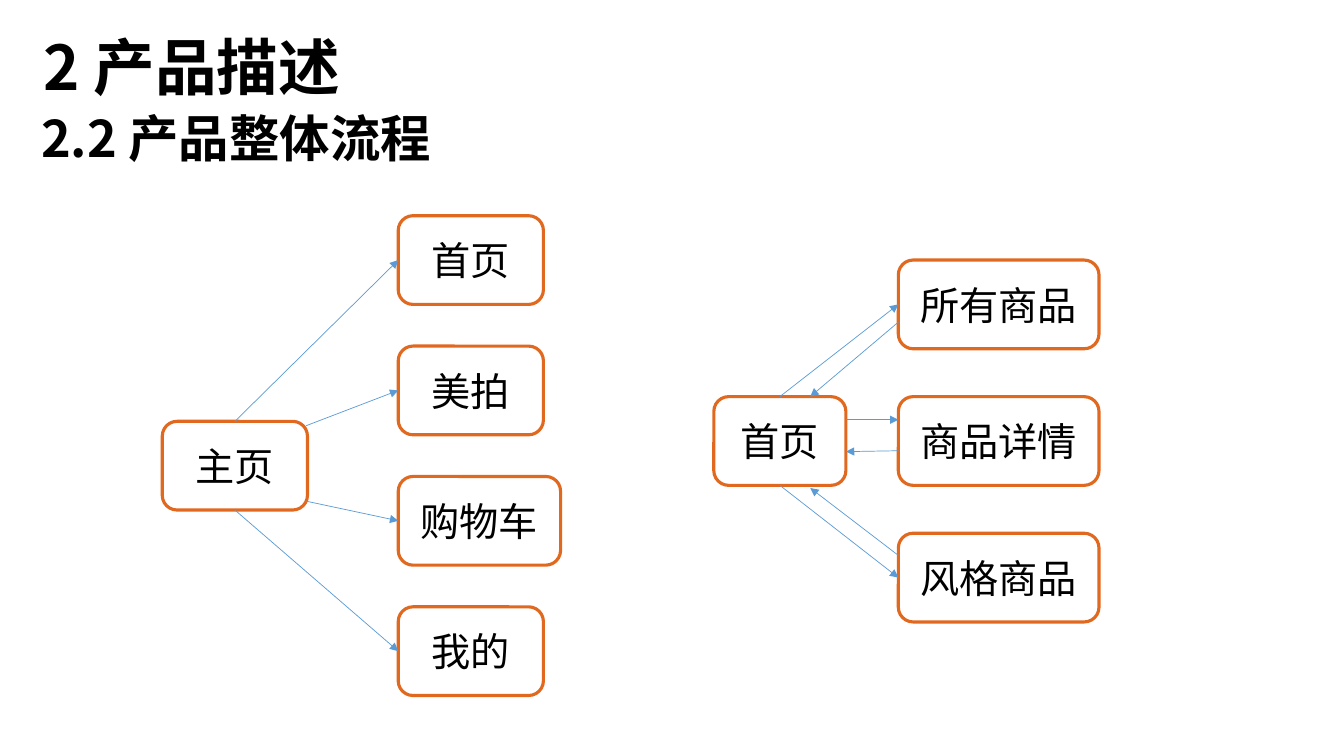
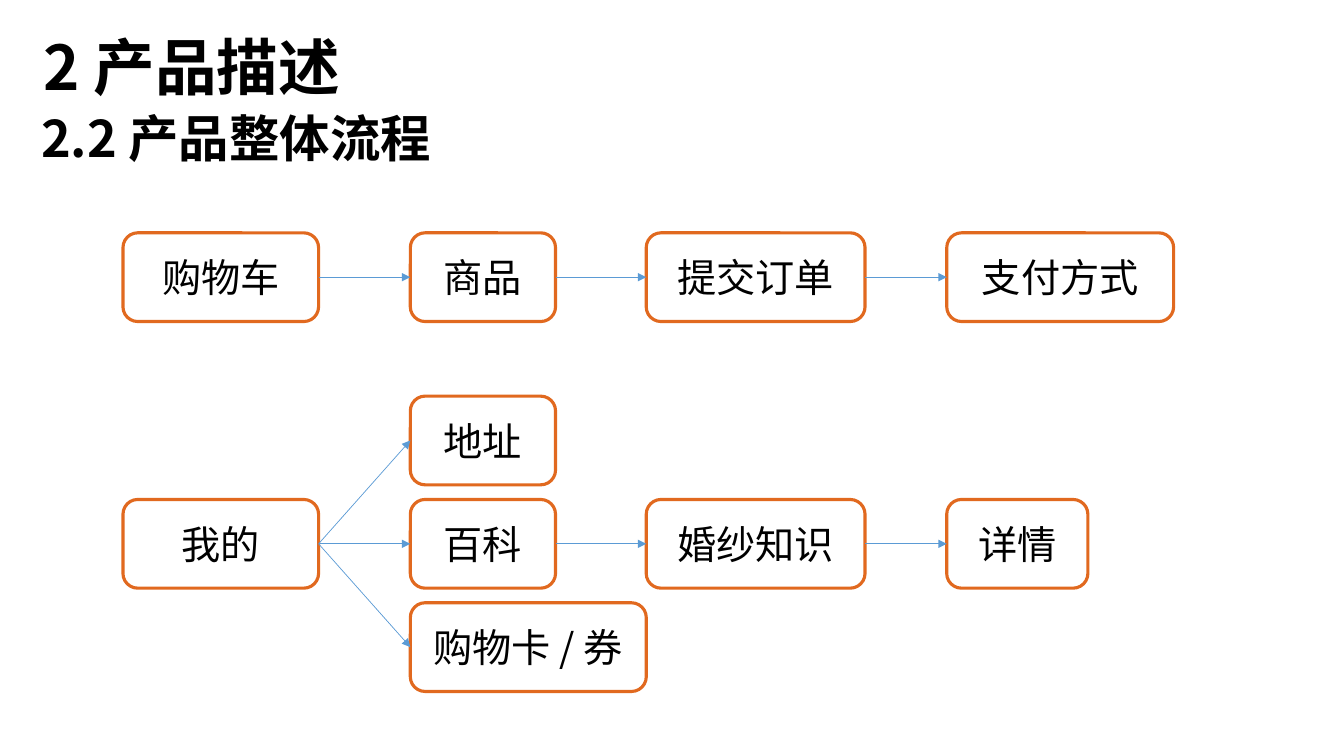
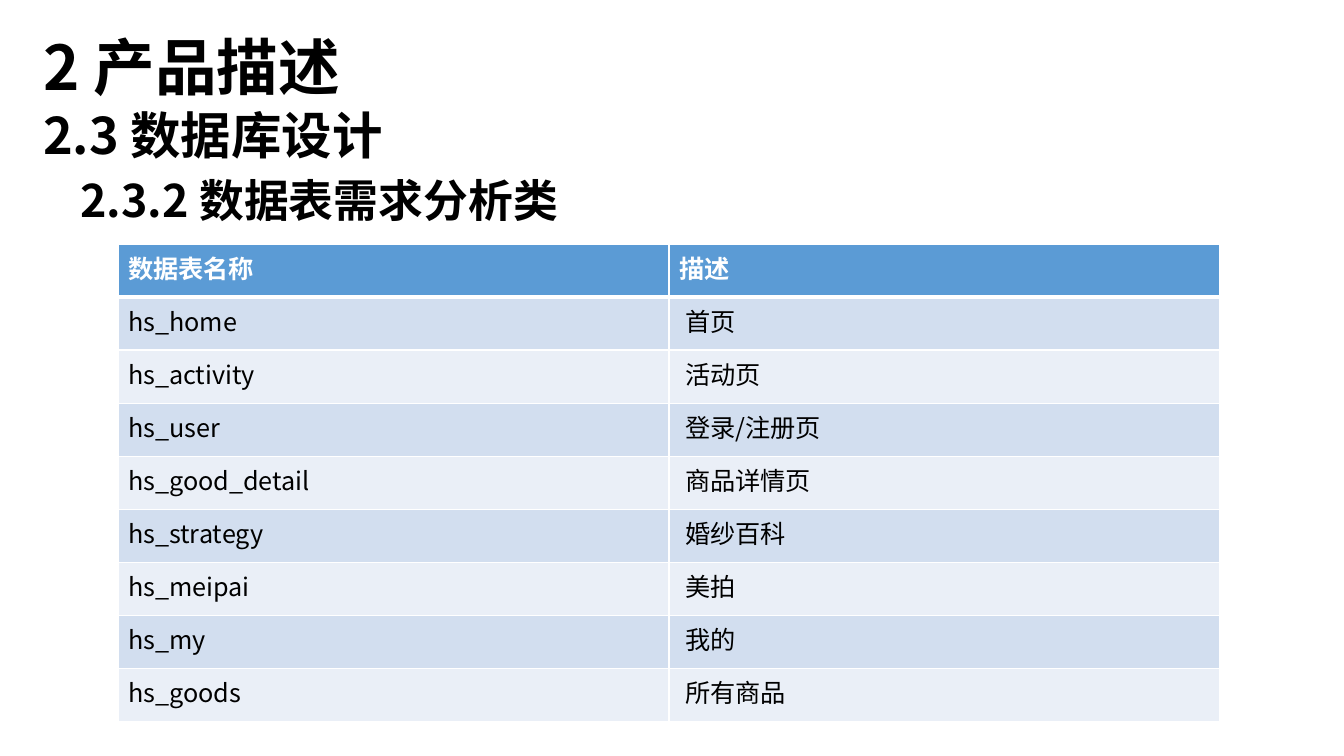
from lxml import etree
from pptx import Presentation
from pptx.dml.color import RGBColor
from pptx.enum.shapes import MSO_CONNECTOR, MSO_SHAPE
from pptx.enum.text import MSO_ANCHOR, PP_ALIGN
from pptx.oxml.ns import qn
from pptx.util import Inches, Pt

STRAIGHT = MSO_CONNECTOR.STRAIGHT
ROUNDED = MSO_SHAPE.ROUNDED_RECTANGLE
MIDDLE, TOP_ANCHOR = MSO_ANCHOR.MIDDLE, MSO_ANCHOR.TOP
LEFT_ALIGN, CENTER = PP_ALIGN.LEFT, PP_ALIGN.CENTER

FONT = "Noto Sans CJK SC"
BLACK = RGBColor(0x00, 0x00, 0x00)
WHITE = RGBColor(0xFF, 0xFF, 0xFF)
ORANGE = RGBColor(0xE1, 0x69, 0x1F)
BLUE = RGBColor(0x5B, 0x9B, 0xD5)
DARK_BAND = RGBColor(0xD2, 0xDE, 0xEF)
LIGHT_BAND = RGBColor(0xEA, 0xEF, 0xF7)

TOP, LEFT, BOTTOM, RIGHT = range(4)
SIDES = {TOP: (0.5, 0), LEFT: (0, 0.5), BOTTOM: (0.5, 1), RIGHT: (1, 0.5)}
NODE_HEIGHT = 0.88

TITLE = "2 产品描述"
FLOW_HEADING = "2.2 产品整体流程"
FLOW_BODY = (0.31, 1.08, 12.72, 5.34)
DATA_BODY = (0.33, 1.05, 12.72, 6.11)
FLOW_COLUMNS = (0, 2.85, 5.19, 8.17)

TABLE_ROWS = (
    ("数据表名称", "描述"),
    ("hs_home", "首页"),
    ("hs_activity", "活动页"),
    ("hs_user", "登录/注册页"),
    ("hs_good_detail", "商品详情页"),
    ("hs_strategy", "婚纱百科"),
    ("hs_meipai", "美拍"),
    ("hs_my", "我的"),
    ("hs_goods", "所有商品"),
)


def write(paragraph, text, size, color=BLACK, bold=False, align=LEFT_ALIGN):
    """Add one run in the deck's font to a paragraph."""
    paragraph.alignment = align
    run = paragraph.add_run()
    run.text = text
    font = run.font
    font.size, font.bold, font.name = Pt(size), bold, FONT
    font.color.rgb = color
    properties = run._r.get_or_add_rPr()
    etree.SubElement(properties, qn("a:ea")).set("typeface", FONT)


def add_heading(slide, box, lines, anchor=TOP_ANCHOR, space_before=10):
    """Place bold lines given as (text, size, indent) in a box."""
    frame = slide.shapes.add_textbox(*map(Inches, box)).text_frame
    frame.word_wrap = True
    frame.vertical_anchor = anchor
    for index, (text, size, indent) in enumerate(lines):
        paragraph = frame.add_paragraph() if index else frame.paragraphs[0]
        paragraph.line_spacing = 0.9
        paragraph.space_before = Pt(space_before)
        paragraph._p.get_or_add_pPr().set("marL", str(Inches(indent)))
        write(paragraph, text, size, bold=True)


def add_titled_slide(presentation, body_box, lines):
    """Add a blank slide with the shared title and its section headings."""
    slide = presentation.slides.add_slide(presentation.slide_layouts[6])
    add_heading(slide, (0.33, 0.17, 11.5, 1.06), [(TITLE, 44, 0)], MIDDLE, 0)
    add_heading(slide, body_box, lines)
    return slide


def add_node(slide, left, top, width, label):
    """Draw one rounded step of a flow."""
    shape = slide.shapes.add_shape(
        ROUNDED, *map(Inches, (left, top, width, NODE_HEIGHT)))
    shape.shadow.inherit = False
    shape.fill.solid()
    shape.fill.fore_color.rgb = WHITE
    shape.line.color.rgb = ORANGE
    shape.line.width = Pt(2.25)
    frame = shape.text_frame
    frame.word_wrap = True
    frame.vertical_anchor = MIDDLE
    write(frame.paragraphs[0], label, 28, align=CENTER)
    return shape


def locate(shape, spot):
    """Turn a side or a pair of shares of a shape into a slide position."""
    across, down = SIDES[spot] if spot in SIDES else spot
    return (int(shape.left + across * shape.width),
            int(shape.top + down * shape.height))


def add_arrow(slide, source, source_spot, target, target_spot):
    """Draw an arrow between two nodes, joined where it meets a side's middle."""
    connector = slide.shapes.add_connector(
        STRAIGHT, *locate(source, source_spot), *locate(target, target_spot))
    if source_spot in SIDES:
        connector.begin_connect(source, source_spot)
    if target_spot in SIDES:
        connector.end_connect(target, target_spot)
    connector.line.color.rgb = BLUE
    connector.line.width = Pt(0.5)
    properties = connector._element.spPr
    line = properties.find(qn("a:ln"))
    etree.SubElement(line, qn("a:tailEnd")).set("type", "triangle")
    etree.SubElement(properties, qn("a:effectLst"))


def add_stack(slide, left, top, height, nodes):
    """Spread (label, width) nodes evenly down a column."""
    pitch = (height - NODE_HEIGHT) / (len(nodes) - 1)
    return [add_node(slide, left, top + row * pitch, width, label)
            for row, (label, width) in enumerate(nodes)]


def add_main_menu(slide, box):
    """Draw the main page opening onto its four tabs."""
    left, top, width, height = box
    root = add_node(slide, left, top + 2.04, 1.44, "主页")
    tabs = add_stack(slide, left + 2.34, top, height, (
        ("首页", 1.44), ("美拍", 1.44), ("购物车", width - 2.34), ("我的", 1.44)))
    for tab, spot in zip(tabs, (TOP, (0.99, 0.05), (0.99, 0.9), BOTTOM)):
        add_arrow(slide, root, spot, tab, LEFT)


def add_home_loop(slide, box):
    """Draw the home page and the three pages it goes to and back from."""
    left, top, width, height = box
    root = add_node(slide, left, top + (height - NODE_HEIGHT) / 2, 1.31, "首页")
    pages = add_stack(slide, left + 1.83, top, height, [
        (label, width - 1.83) for label in ("所有商品", "商品详情", "风格商品")])
    outward = ((TOP, LEFT), ((1, 0.26), (0, 0.26)), (BOTTOM, LEFT))
    inward = (((0, 0.7), (0.73, 0)), ((0, 0.61), (1, 0.62)),
              ((0, 0.25), (0.73, 1.03)))
    for page, (leave, arrive), (back, home) in zip(pages, outward, inward):
        add_arrow(slide, root, leave, page, arrive)
        add_arrow(slide, page, back, root, home)


def add_chain(slide, left, top, nodes):
    """Draw (label, width) nodes along the flow columns, linked in order."""
    steps = [add_node(slide, left + column, top, width, label)
             for column, (label, width) in zip(FLOW_COLUMNS, nodes)]
    for source, target in zip(steps, steps[1:]):
        add_arrow(slide, source, RIGHT, target, LEFT)
    return steps


def add_profile_flow(slide, box):
    """Draw the profile chain with a branch above and below its second step."""
    left, top, width, height = box
    steps = add_chain(slide, left, top + (height - NODE_HEIGHT) / 2, (
        ("我的", 1.94), ("百科", 1.44), ("婚纱知识", 2.17),
        ("详情", width - FLOW_COLUMNS[-1])))
    branches = add_stack(slide, left + FLOW_COLUMNS[1], top, height, (
        ("地址", 1.44), ("购物卡 / 券", 2.34)))
    for branch in branches:
        add_arrow(slide, steps[0], RIGHT, branch, LEFT)


def add_border(cell, side, width):
    """Give one side of a cell a white line."""
    properties = cell._tc.get_or_add_tcPr()
    line = etree.SubElement(properties, qn(f"a:ln{side}"))
    line.set("w", str(Pt(width)))
    fill = etree.SubElement(line, qn("a:solidFill"))
    etree.SubElement(fill, qn("a:srgbClr")).set("val", str(WHITE))


def add_data_table(slide, box, rows):
    """Draw the banded table of data tables and their descriptions."""
    left, top, width, height = map(Inches, box)
    table = slide.shapes.add_table(
        len(rows), len(rows[0]), left, top, width, height).table
    table.horz_banding = False
    for row, texts in enumerate(rows):
        header = row == 0
        band = BLUE if header else (LIGHT_BAND, DARK_BAND)[row % 2]
        for column, text in enumerate(texts):
            cell = table.cell(row, column)
            for side in "LRTB":
                thick = (header and side == "B") or (row == 1 and side == "T")
                add_border(cell, side, 3 if thick else 1)
            cell.fill.solid()
            cell.fill.fore_color.rgb = band
            cell.margin_left = Inches(0.16 if column and not header else 0.1)
            write(cell.text_frame.paragraphs[0], text, 18,
                  WHITE if header else BLACK, header)


def main():
    """Build and save the three slides."""
    presentation = Presentation()
    presentation.slide_width = Inches(13.33)
    presentation.slide_height = Inches(7.5)

    slide = add_titled_slide(presentation, FLOW_BODY, [(FLOW_HEADING, 36, 0)])
    add_main_menu(slide, (1.61, 2.14, 3.95, 4.76))
    add_home_loop(slide, (7.08, 2.58, 3.82, 3.59))

    slide = add_titled_slide(presentation, FLOW_BODY, [(FLOW_HEADING, 36, 0)])
    add_chain(slide, 1.22, 2.31, (
        ("购物车", 1.94), ("商品", 1.44), ("提交订单", 2.17), ("支付方式", 2.25)))
    add_profile_flow(slide, (1.22, 3.93, 9.57, 2.93))

    slide = add_titled_slide(presentation, DATA_BODY, [
        ("2.3 数据库设计", 36, 0), ("2.3.2 数据表需求分析类", 32, 0.37)])
    add_data_table(slide, (1.17, 2.42, 10.93, 4.74), TABLE_ROWS)

    presentation.save("out.pptx")


if __name__ == "__main__":
    main()
